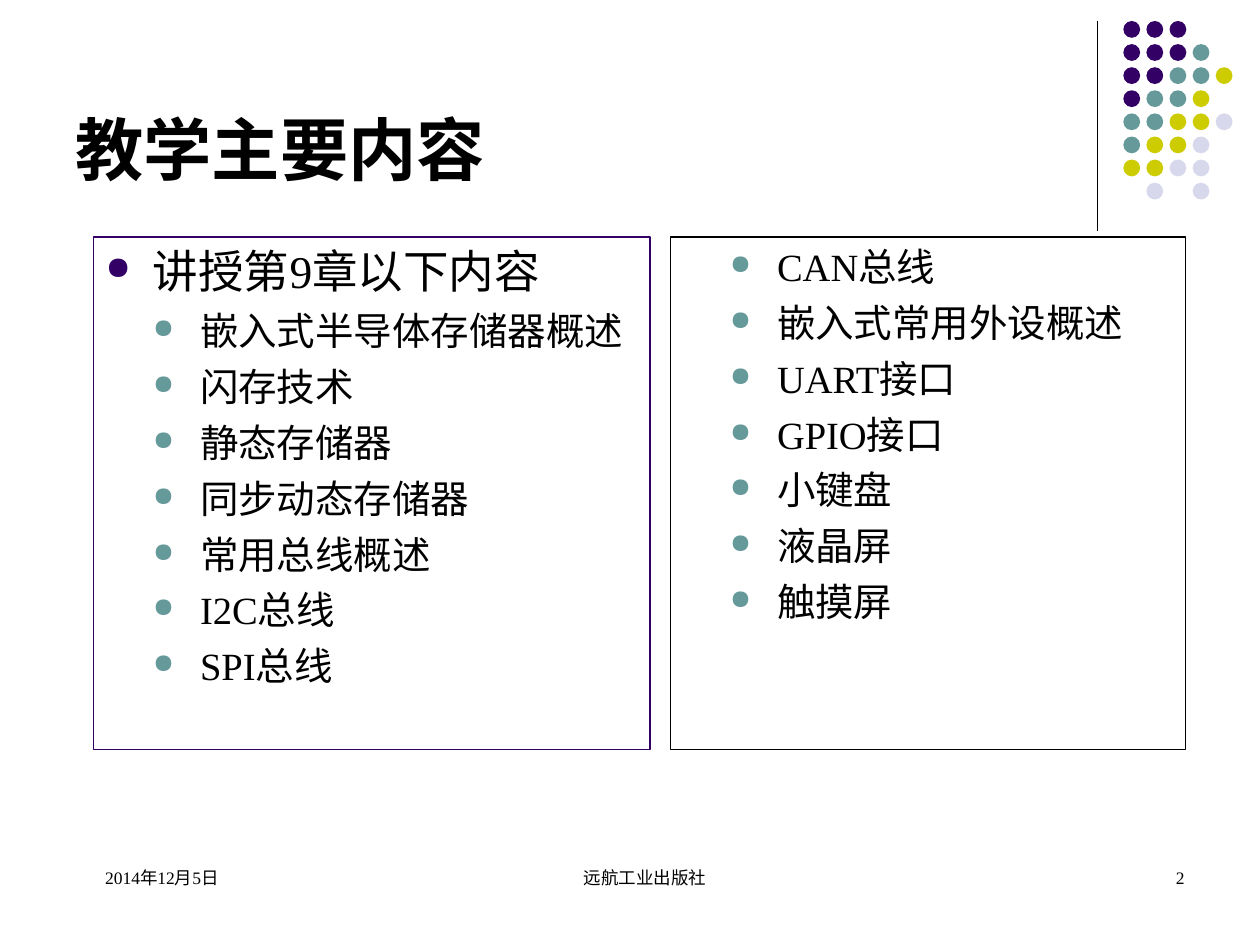
from lxml.etree import SubElement
from pptx import Presentation
from pptx.dml.color import RGBColor
from pptx.enum.shapes import MSO_CONNECTOR as Connector, MSO_SHAPE as Shape
from pptx.enum.text import MSO_ANCHOR as Anchor, PP_ALIGN as Align
from pptx.oxml.ns import qn
from pptx.util import Pt

THEME = {
    "font": "Times New Roman",
    "ink": "000000", "violet": "330066", "teal": "669999",
    "olive": "CCCC00", "lilac": "D8D8EC",
    "title": 39, "topic": 26, "item": 22, "footer": 10,
}
TITLE = "教学主要内容"
TITLE_BOX = (36, 9.4, 594, 102.2)

# Each paragraph is (level, text).
PANELS = [
    {"box": (53.3, 135.4, 318.2, 293), "line": "violet", "paragraphs": [
        (0, "讲授第9章以下内容"), (1, "嵌入式半导体存储器概述"), (1, "闪存技术"),
        (1, "静态存储器"), (1, "同步动态存储器"), (1, "常用总线概述"),
        (1, "I2C总线"), (1, "SPI总线")]},
    {"box": (383, 135.4, 294.5, 293), "line": "ink", "paragraphs": [
        (1, "CAN总线"), (1, "嵌入式常用外设概述"), (1, "UART接口"),
        (1, "GPIO接口"), (1, "小键盘"), (1, "液晶屏"), (1, "触摸屏")]},
]
LEVELS = [
    {"size": "topic", "bullet": "violet", "space": 6.5},
    {"size": "item", "bullet": "teal", "space": 5.5},
]
INDENT = 27
BULLET_PERCENT = 70

FOOTERS = [
    ("2014年12月5日", (36, 492, 168, 36), Align.LEFT),
    ("远航工业出版社", (246, 492, 228, 36), Align.CENTER),
    ("2", (516, 492, 168, 36), Align.RIGHT),
]
FOOTER_INDENT = 17

DOT_ROWS = ["VVV", "VVVT", "VVTTO", "VTTO", "TTOOL", "TOOL", "OOLL", " L L"]
DOT_COLOURS = {"V": "violet", "T": "teal", "O": "olive", "L": "lilac"}
DOT_LEFT, DOT_TOP, DOT_PITCH, DOT_SIZE = 641.9, 12, 13.2, 9.6
RULE = (627, 12, 627, 132)


def colour(name):
    return RGBColor.from_string(THEME[name])


def points(values):
    return [Pt(value) for value in values]


def set_format(target, values):
    for name, value in values.items():
        setattr(target, name, value)


def style_font(paragraph, size, bold=False):
    set_format(paragraph.font, {"name": THEME["font"], "size": Pt(THEME[size]), "bold": bold})
    paragraph.font.color.rgb = colour("ink")


def add_bullet(paragraph, level):
    """Give the paragraph a hanging indent and a coloured dot."""
    properties = paragraph._p.get_or_add_pPr()
    properties.set("marL", str(Pt(INDENT * (level + 1))))
    properties.set("indent", str(-Pt(INDENT)))
    bullet_colour = SubElement(properties, qn("a:buClr"))
    SubElement(bullet_colour, qn("a:srgbClr"), val=THEME[LEVELS[level]["bullet"]])
    SubElement(properties, qn("a:buSzPct"), val=str(BULLET_PERCENT * 1000))
    SubElement(properties, qn("a:buChar"), char="●")


def add_label(slide, text, box, size, align=Align.LEFT, anchor=Anchor.TOP, bold=False):
    frame = slide.shapes.add_textbox(*points(box)).text_frame
    set_format(frame, {"word_wrap": True, "vertical_anchor": anchor})
    paragraph = frame.paragraphs[0]
    set_format(paragraph, {"text": text, "alignment": align})
    style_font(paragraph, size, bold)
    return paragraph


def add_panel(slide, panel):
    shape = slide.shapes.add_shape(Shape.RECTANGLE, *points(panel["box"]))
    shape.shadow.inherit = False
    shape.fill.background()
    shape.line.color.rgb = colour(panel["line"])
    shape.line.width = Pt(0.75)
    frame = shape.text_frame
    set_format(frame, {"word_wrap": True, "vertical_anchor": Anchor.TOP})
    for index, (level, text) in enumerate(panel["paragraphs"]):
        paragraph = frame.add_paragraph() if index else frame.paragraphs[0]
        add_bullet(paragraph, level)
        set_format(paragraph, {
            "text": text, "level": level, "alignment": Align.LEFT,
            "space_before": Pt(LEVELS[level]["space"] if index else 0)})
        style_font(paragraph, LEVELS[level]["size"])


def add_dots(slide):
    for row, codes in enumerate(DOT_ROWS):
        for column, code in enumerate(codes):
            if code not in DOT_COLOURS:
                continue
            box = (DOT_LEFT + column * DOT_PITCH, DOT_TOP + row * DOT_PITCH, DOT_SIZE, DOT_SIZE)
            dot = slide.shapes.add_shape(Shape.OVAL, *points(box))
            dot.shadow.inherit = False
            dot.fill.solid()
            dot.fill.fore_color.rgb = colour(DOT_COLOURS[code])
            dot.line.fill.background()


def add_rule(slide):
    rule = slide.shapes.add_connector(Connector.STRAIGHT, *points(RULE))
    rule.line.color.rgb = colour("ink")
    rule.line.width = Pt(0.75)
    SubElement(rule._element.spPr, qn("a:effectLst"))


def main():
    presentation = Presentation()
    set_format(presentation, {"slide_width": Pt(720), "slide_height": Pt(540)})
    slide = presentation.slides.add_slide(presentation.slide_layouts[6])
    add_rule(slide)
    add_dots(slide)
    add_label(slide, TITLE, TITLE_BOX, "title", anchor=Anchor.BOTTOM, bold=True)
    for panel in PANELS:
        add_panel(slide, panel)
    for text, box, align in FOOTERS:
        paragraph = add_label(slide, text, box, "footer", align)
        paragraph._p.get_or_add_pPr().set("marL", str(Pt(FOOTER_INDENT)))
    presentation.save("out.pptx")


if __name__ == "__main__":
    main()
